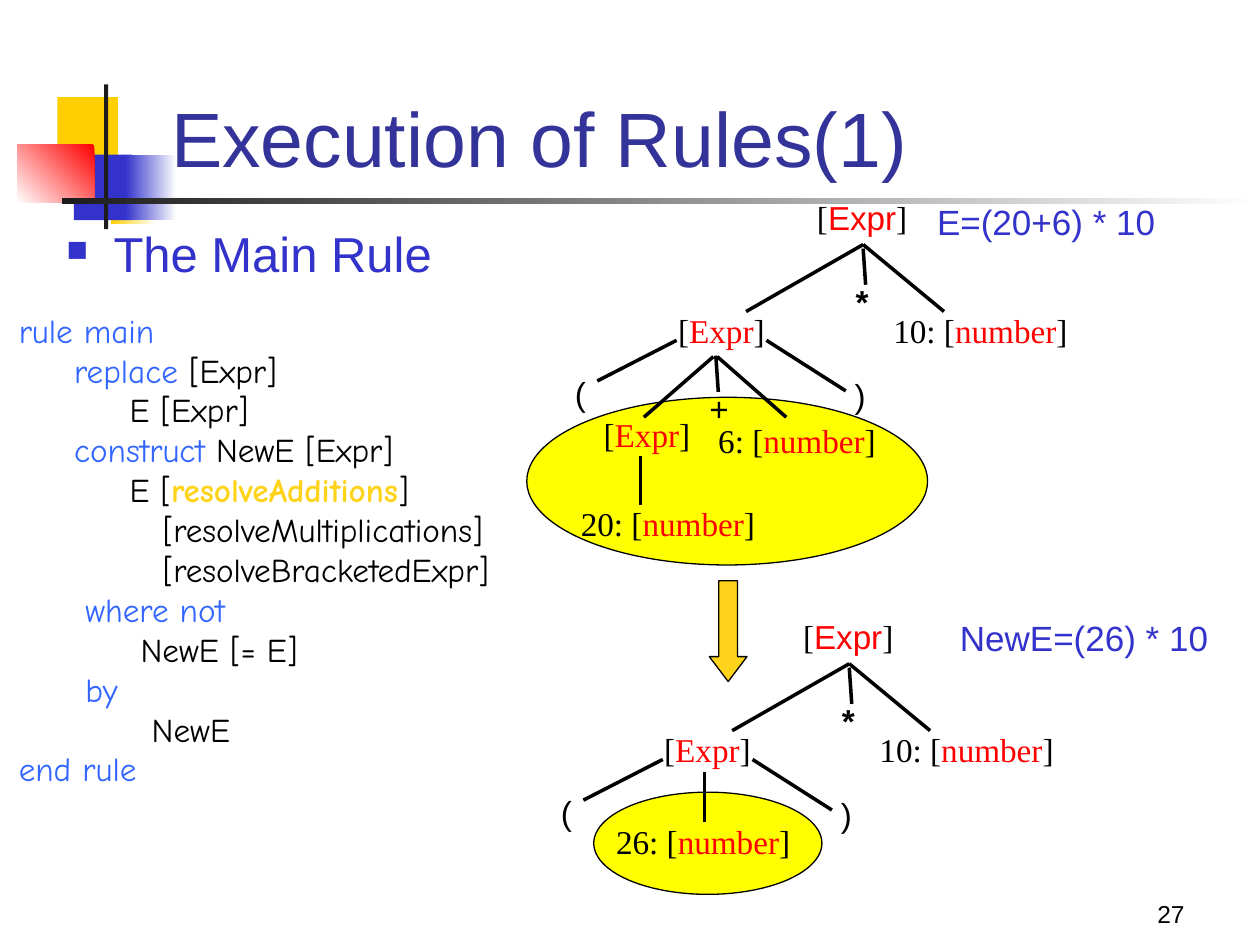
from lxml.etree import SubElement
from pptx import Presentation
from pptx.dml.color import RGBColor
from pptx.enum.shapes import MSO_CONNECTOR, MSO_SHAPE
from pptx.enum.text import MSO_ANCHOR, PP_ALIGN
from pptx.oxml.ns import qn
from pptx.util import Cm, Pt

COLORS = {
    "white": "FFFFFF", "black": "000000", "ink": "1C1C1C", "gold": "FFCF01",
    "amber": "FFD319", "yellow": "FFFF00", "red": "FF0000", "blue": "3333CC",
    "title": "333399", "keyword": "3366FF",
}
SERIF = {"name": "Times New Roman", "size": Pt(19)}
SANS = {"name": "Arial", "size": Pt(19)}
CODE = {"name": "Comic Neue", "size": Pt(19)}
FORMULA = {"name": "Arial", "size": Pt(20)}
LABEL_HEIGHT = 1.07
INSETS = (0.25, 0.13, 0.25, 0.13)

MAIN_RULE = [
    [("rule main", "keyword")],
    [("     ", "black"), ("replace", "keyword"), (" [Expr]", "black")],
    [("          E [Expr]", "black")],
    [("     ", "black"), ("construct", "keyword"), (" NewE [Expr]", "black")],
    [("          E [", "black"), ("resolveAdditions", "amber", {"bold": True}), ("]", "black")],
    [("             [resolveMultiplications]", "black")],
    [("             [resolveBracketedExpr]", "black")],
    [("      ", "black"), ("where not", "keyword")],
    [("           NewE [= E]", "black")],
    [("      ", "black"), ("by", "keyword")],
    [("            NewE", "black")],
    [("end rule", "keyword")],
]


def rgb(color):
    return RGBColor.from_string(COLORS[color])


def add_text(page, area, paragraphs, font, insets=INSETS, anchor=MSO_ANCHOR.TOP):
    box = page.shapes.add_textbox(*map(Cm, area))
    frame = box.text_frame
    sides = ("left", "top", "right", "bottom")
    settings = {f"margin_{side}": Cm(inset) for side, inset in zip(sides, insets)}
    settings |= {"word_wrap": True, "vertical_anchor": anchor}
    for name, value in settings.items():
        setattr(frame, name, value)
    for index, spans in enumerate(paragraphs):
        para = frame.add_paragraph() if index else frame.paragraphs[0]
        for text, color, *changes in spans:
            span = para.add_run()
            span.text = text
            for name, value in (font | (changes[0] if changes else {})).items():
                setattr(span.font, name, value)
            span.font.color.rgb = rgb(color)
    return frame.paragraphs[0]


def add_block(page, kind, area, color, outlined=False):
    block = page.shapes.add_shape(kind, *map(Cm, area))
    block.shadow.inherit = False
    block.fill.solid()
    block.fill.fore_color.rgb = rgb(color)
    if outlined:
        block.line.color.rgb = rgb("black")
        block.line.width = Pt(0.75)
    else:
        block.line.fill.background()
    return block


def add_gradient(page, area, first, last, angle):
    block = add_block(page, MSO_SHAPE.RECTANGLE, area, last)
    block.fill.gradient()
    block.fill.gradient_angle = angle
    for stop, color, position in zip(block.fill.gradient_stops, (first, last), (0, 1)):
        stop.color.rgb = rgb(color)
        stop.position = position


def add_branch(page, origin, start, end):
    left, top = origin
    points = (left + start[0], top + start[1], left + end[0], top + end[1])
    branch = page.shapes.add_connector(MSO_CONNECTOR.STRAIGHT, *map(Cm, points))
    branch.line.color.rgb = rgb("black")
    branch.line.width = Pt(2)
    SubElement(branch._element.spPr, qn("a:effectLst"))


def add_node(page, origin, x, y, width, name, prefix="", font=SERIF):
    area = (origin[0] + x, origin[1] + y, width, LABEL_HEIGHT)
    bracket = {"name": SERIF["name"]}
    spans = [(prefix + "[", "black", bracket), (name, "red"), ("]", "black", bracket)]
    add_text(page, area, [spans], font)


def add_token(page, origin, x, y, token, bold=False):
    area = (origin[0] + x, origin[1] + y, 1.19, 0.81)
    add_text(page, area, [[(token, "black")]], SANS | {"bold": bold}, (0, 0, 0, 0))


def draw_ornament(page, left, top):
    def place(x, y, width, height):
        return left + x, top + y, width, height

    square = MSO_SHAPE.RECTANGLE
    add_block(page, square, place(0.81, 0.26, 1.22, 1.32), "gold")
    add_gradient(page, place(1.88, 1.5, 0.91, 1.32), "white", "gold", 180)
    add_block(page, square, place(1.14, 1.42, 1.17, 1.32), "blue")
    add_gradient(page, place(2.18, 1.42, 1.02, 1.32), "white", "blue", 180)
    add_gradient(page, place(0, 1.22, 1.55, 1.17), "red", "white", 225)
    add_block(page, square, place(1.75, 0, 0.08, 2.92), "ink")
    add_gradient(page, place(0.91, 2.29, 24.13, 0.13), "white", "ink", 180)


def draw_heading(page, left, top, width, height):
    add_text(page, (left, top, width, height), [[("Execution of Rules(1)", "title")]],
             {"name": "Arial", "size": Pt(44)}, anchor=MSO_ANCHOR.BOTTOM)


def draw_topic(page, left, top, width, height):
    para = add_text(page, (left, top, width, height), [[("The Main Rule", "blue")]],
                    {"name": "Arial", "size": Pt(28)})
    para.line_spacing = 0.9
    properties = para._p.get_or_add_pPr()
    properties.set("marL", str(Cm(0.95)))
    properties.set("indent", str(-Cm(0.95)))
    bullet_color = SubElement(properties, qn("a:buClr"))
    SubElement(bullet_color, qn("a:srgbClr"), val=COLORS["blue"])
    SubElement(properties, qn("a:buSzPct"), val="60000")
    SubElement(properties, qn("a:buChar"), char="■")


def draw_product_tree(page, origin):
    add_node(page, origin, 4.76, 0, 2.6, "Expr", font=SANS)
    add_node(page, origin, 1.96, 2.29, 2.4, "Expr")
    add_node(page, origin, 6.3, 2.29, 4.2, "number", "10: ")
    for start, end in (
        ((5.94, 1.09), (3.58, 2.44)),
        ((5.94, 1.09), (7.57, 2.44)),
        ((5.94, 1.17), (5.99, 1.9)),
        ((3.99, 3.02), (5.59, 4.04)),
        ((2.18, 3.02), (0.58, 3.84)),
    ):
        add_branch(page, origin, start, end)
    add_token(page, origin, 5.79, 1.83, "*", bold=True)
    add_token(page, origin, 0.13, 3.68, "(")
    add_token(page, origin, 5.77, 3.73, ")")


def draw_highlight(page, origin, x, y, width, height):
    area = (origin[0] + x, origin[1] + y, width, height)
    add_block(page, MSO_SHAPE.OVAL, area, "yellow", outlined=True)


def draw_tree_before(page, left, top):
    origin = (left, top)
    draw_highlight(page, origin, -0.84, 4.17, 8.08, 3.38)
    draw_product_tree(page, origin)
    for start, end in (
        ((2.97, 3.33), (3.02, 4.06)),
        ((2.92, 3.35), (1.52, 4.57)),
        ((3, 3.35), (4.39, 4.57)),
        ((1.45, 5.36), (1.45, 6.35)),
    ):
        add_branch(page, origin, start, end)
    add_token(page, origin, 2.84, 3.99, "+")
    add_node(page, origin, 0.46, 4.39, 2.4, "Expr")
    add_node(page, origin, 2.77, 4.5, 3.9, "number", "6: ")
    add_node(page, origin, 0, 6.17, 4.2, "number", "20: ")
    add_text(page, (left + 7.18, top + 0.08, 5.3, 1.12), [[("E=(20+6) * 10", "blue")]], FORMULA)


def draw_tree_after(page, left, top):
    origin = (left, top)
    draw_highlight(page, origin, 0.79, 3.68, 4.6, 2.06)
    draw_product_tree(page, origin)
    add_branch(page, origin, (3.02, 3.28), (3.02, 4.29))
    add_node(page, origin, 0.99, 4.14, 4.2, "number", "26: ")
    add_text(page, (left + 7.92, top, 5.8, 1.12), [[("NewE=(26) * 10", "blue")]], FORMULA)


def draw_step_arrow(page, left, top, width, height):
    arrow = add_block(page, MSO_SHAPE.DOWN_ARROW, (left, top, width, height), "amber", outlined=True)
    arrow.adjustments[0] = 0.5
    arrow.adjustments[1] = 0.66


def draw_page_number(page, left, top, width, height):
    para = add_text(page, (left, top, width, height), [[("27", "black")]],
                    {"name": "Arial", "size": Pt(14)}, anchor=MSO_ANCHOR.BOTTOM)
    para.alignment = PP_ALIGN.RIGHT


def main():
    deck = Presentation()
    deck.slide_width, deck.slide_height = Cm(25.4), Cm(19.05)
    page = deck.slides.add_slide(deck.slide_layouts[6])
    draw_ornament(page, 0.35, 1.7)
    draw_page_number(page, 18.85, 17.58, 5.28, 1.27)
    draw_heading(page, 3.2, 0.33, 21.64, 3.48)
    draw_topic(page, 1.09, 4.52, 10.01, 1.4)
    add_text(page, (0.38, 6.12, 10.31, 10.72), MAIN_RULE, CODE, (0, 0.13, 0, 0.13))
    draw_tree_before(page, 11.46, 3.84)
    draw_tree_after(page, 11.18, 12.29)
    draw_step_arrow(page, 14.3, 11.71, 0.76, 2.03)
    deck.save("out.pptx")


if __name__ == "__main__":
    main()
